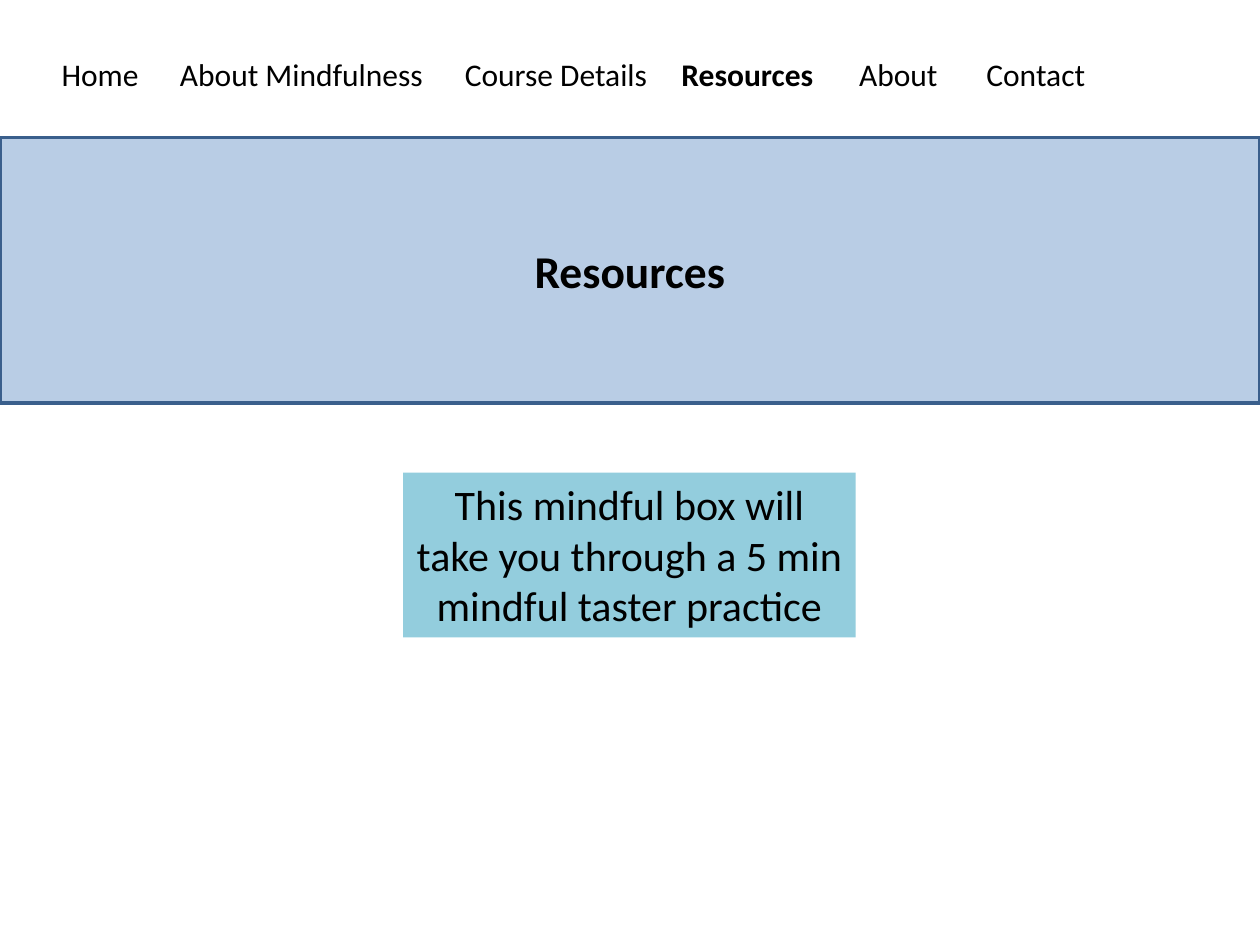
from pptx import Presentation
from pptx.dml.color import RGBColor
from pptx.enum.shapes import MSO_SHAPE
from pptx.enum.text import MSO_ANCHOR, MSO_AUTO_SIZE, PP_ALIGN
from pptx.util import Inches, Pt

# Content: menu entries as (label, left, width)
MENU = [
    ("Home", 0.39, 0.94),
    ("About Mindfulness", 1.33, 2.19),
    ("Course Details", 3.59, 1.72),
    ("Resources", 5.31, 1.25),
    ("About", 6.72, 0.94),
    ("Contact", 7.73, 1.09),
]
TITLE = "Resources"
NOTE = "This mindful box will take you through a 5 min mindful taster practice"
WIDE, HIGH = 10, 7.5


def color(code):
    return RGBColor.from_string(code)


def write(shape, text, size=18, bold=False, align=PP_ALIGN.LEFT,
          anchor=MSO_ANCHOR.TOP):
    frame = shape.text_frame
    frame.word_wrap = True
    frame.auto_size = MSO_AUTO_SIZE.NONE
    frame.vertical_anchor = anchor
    frame.text = text
    para = frame.paragraphs[0]
    para.alignment = align
    font = para.runs[0].font
    font.name, font.size, font.bold = "Calibri", Pt(size), bold
    font.color.rgb = color("000000")


def block(slide, left, top, width, height, fill, line=None):
    shape = slide.shapes.add_shape(
        MSO_SHAPE.RECTANGLE, *map(Inches, (left, top, width, height)))
    shape.shadow.inherit = False
    shape.fill.solid()
    shape.fill.fore_color.rgb = color(fill)
    if line:
        shape.line.color.rgb = color(line)
        shape.line.width = Pt(2)
    else:
        shape.line.fill.background()
    return shape


def main():
    deck = Presentation()
    deck.slide_width, deck.slide_height = Inches(WIDE), Inches(HIGH)
    slide = deck.slides.add_slide(deck.slide_layouts[5])

    # Banner, placed behind the title
    title = slide.shapes.title
    band = block(slide, 0, 1.09, WIDE, 2.11, "B9CDE5", line="3A5F8C")
    title.element.addprevious(band.element)

    # Menu, with the current page in bold
    for label, left, width in MENU:
        box = slide.shapes.add_textbox(
            Inches(left), Inches(0.39), Inches(width), Inches(0.4))
        write(box, label, bold=label == TITLE)

    # Title
    title.left, title.top = Inches(0.31), Inches(1.88)
    title.width, title.height = Inches(9.38), Inches(0.54)
    write(title, TITLE, size=26, bold=True, align=PP_ALIGN.CENTER)

    # Mindful box
    note = block(slide, 3.2, 3.75, 3.59, 1.31, "93CDDD")
    write(note, NOTE, size=24, align=PP_ALIGN.CENTER)

    deck.save("out.pptx")


if __name__ == "__main__":
    main()
